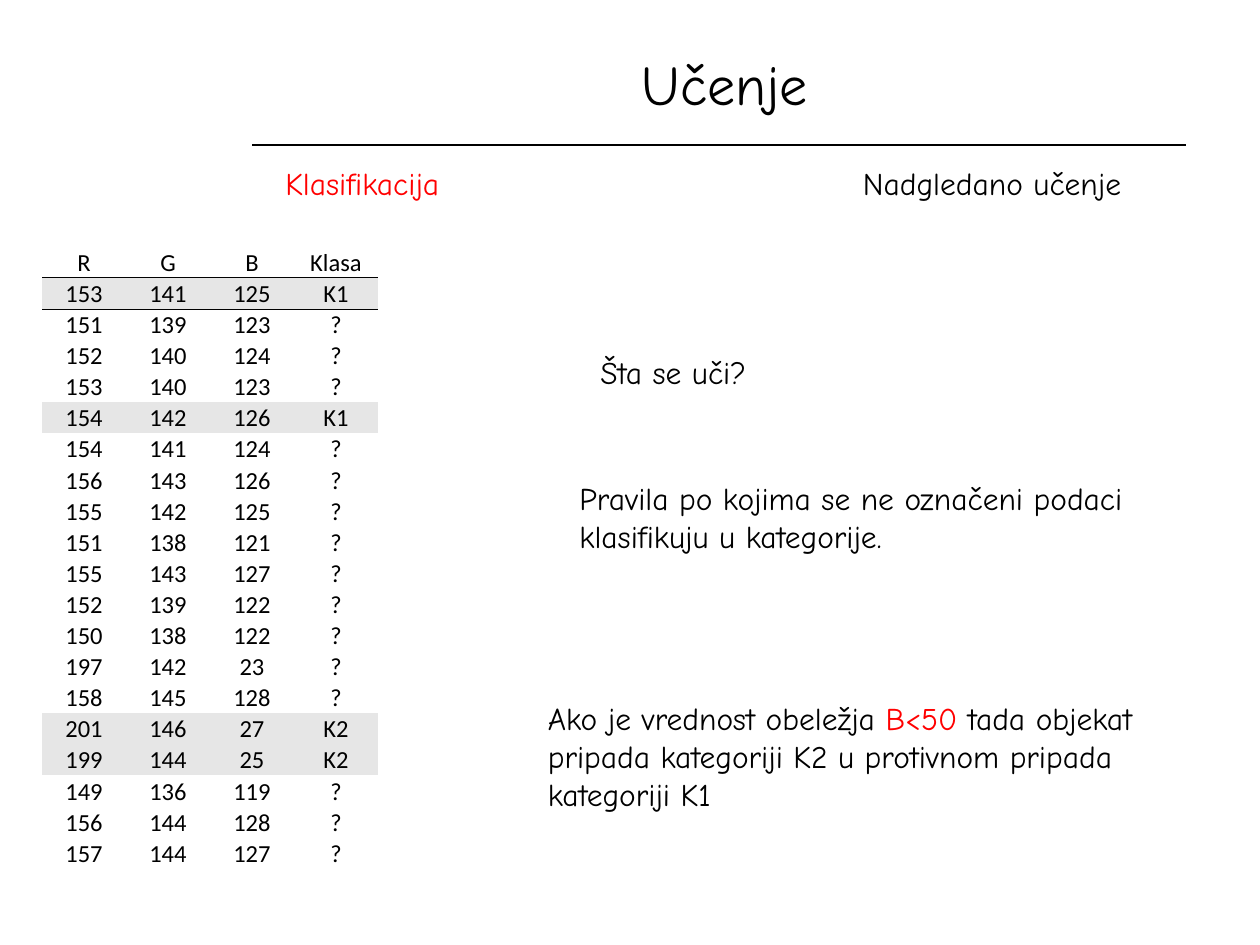
import pptx
import pptx.dml.color
import pptx.enum.dml
import pptx.enum.shapes
import pptx.enum.text
import pptx.oxml
import pptx.oxml.ns
import pptx.util
from lxml import etree

Pt = pptx.util.Pt
RGB = pptx.dml.color.RGBColor
ANCHOR = pptx.enum.text.MSO_ANCHOR
ALIGN = pptx.enum.text.PP_ALIGN
BLACK = RGB(0x00, 0x00, 0x00)
RED = RGB(0xFF, 0x00, 0x00)
LIGHT_GREY = RGB(0xE6, 0xE6, 0xE6)

TITLE_FONT = {"name": "Comic Neue", "size": Pt(32), "bold": False}
BODY_FONT = {"name": "Comic Neue", "size": Pt(18)}
SAMPLE_FONT = {"name": "Calibri", "size": Pt(14), "bold": False}
SAMPLE_CELL = {
    "vertical_anchor": ANCHOR.BOTTOM,
    "margin_left": Pt(0.72),
    "margin_right": Pt(0.72),
    "margin_top": Pt(0.72),
    "margin_bottom": Pt(0),
}
NO_STYLE = "{2D5ABB26-0587-4C30-8999-92F81FD0307C}"

SAMPLES = [
    ("R", "G", "B", "Klasa"),
    (153, 141, 125, "K1"),
    (151, 139, 123, "?"),
    (152, 140, 124, "?"),
    (153, 140, 123, "?"),
    (154, 142, 126, "K1"),
    (154, 141, 124, "?"),
    (156, 143, 126, "?"),
    (155, 142, 125, "?"),
    (151, 138, 121, "?"),
    (155, 143, 127, "?"),
    (152, 139, 122, "?"),
    (150, 138, 122, "?"),
    (197, 142, 23, "?"),
    (158, 145, 128, "?"),
    (201, 146, 27, "K2"),
    (199, 144, 25, "K2"),
    (149, 136, 119, "?"),
    (156, 144, 128, "?"),
    (157, 144, 127, "?"),
]

STATEMENTS = [
    ((486, 90, 198, 28.8), [("Nadgledano učenje", BLACK)]),
    ((336, 198, 198, 28.8), [("Šta se uči?", BLACK)]),
    ((324, 270, 360, 51), [
        ("Pravila po kojima se ne označeni podaci klasifikuju u kategorije.", BLACK),
    ]),
    ((306, 396, 360, 72.7), [
        ("Ako je vrednost obeležja ", BLACK),
        ("B<50 ", RED),
        ("tada objekat pripada kategoriji K2 u protivnom pripada kategoriji K1", BLACK),
    ]),
    ((156, 90, 198, 28.8), [("Klasifikacija", RED)]),
]


def apply_format(target, values):
    """Set every attribute named in values on target."""
    for name, value in values.items():
        setattr(target, name, value)


def add_run(paragraph, text, font, color):
    """Append a formatted run to a paragraph."""
    run = paragraph.add_run()
    run.text = text
    apply_format(run.font, font)
    run.font.color.rgb = color


def add_heading(slide, box):
    """Place the title in box, with the rule below it."""
    left, top, width, height = box
    title = slide.shapes.title
    apply_format(title, dict(zip(("left", "top", "width", "height"), map(Pt, box))))
    apply_format(title.text_frame, {"vertical_anchor": ANCHOR.MIDDLE, "word_wrap": True})
    paragraph = title.text_frame.paragraphs[0]
    paragraph.alignment = ALIGN.CENTER
    add_run(paragraph, "Učenje", TITLE_FONT, BLACK)

    rule_y = Pt(top + height + 8.6)
    rule = slide.shapes.add_connector(
        pptx.enum.shapes.MSO_CONNECTOR.STRAIGHT,
        Pt(left), rule_y, Pt(left + width - 6.5), rule_y,
    )
    rule.line.width = Pt(0.75)
    rule.line.color.rgb = BLACK
    etree.SubElement(rule._element.spPr, pptx.oxml.ns.qn("a:effectLst"))


def add_statement(slide, box, parts):
    """Place a wrapped text in box, made of (text, color) parts."""
    frame = slide.shapes.add_textbox(*map(Pt, box)).text_frame
    apply_format(frame, {
        "word_wrap": True,
        "auto_size": pptx.enum.text.MSO_AUTO_SIZE.SHAPE_TO_FIT_TEXT,
    })
    for text, color in parts:
        add_run(frame.paragraphs[0], text, BODY_FONT, color)


def add_border(cell, side):
    """Draw a thin black border on one side of a cell."""
    border = pptx.oxml.parse_xml(
        f'<a:{side} {pptx.oxml.ns.nsdecls("a")} w="{Pt(0.5)}">'
        f'<a:solidFill><a:srgbClr val="{BLACK}"/></a:solidFill></a:{side}>'
    )
    cell._tc.get_or_add_tcPr().insert(0, border)


def add_samples(slide, box):
    """Fill box with the sample table, shading the labelled rows."""
    table = slide.shapes.add_table(len(SAMPLES), len(SAMPLES[0]), *map(Pt, box)).table
    apply_format(table, {"first_row": False, "horz_banding": False})
    table._tbl.tblPr.find(pptx.oxml.ns.qn("a:tableStyleId")).text = NO_STYLE
    for column in table.columns:
        column.width = Pt(box[2] / len(SAMPLES[0]))
    for index, sample in enumerate(SAMPLES):
        table.rows[index].height = Pt(box[3] / len(SAMPLES))
        for column_index, value in enumerate(sample):
            cell = table.cell(index, column_index)
            apply_format(cell, SAMPLE_CELL)
            paragraph = cell.text_frame.paragraphs[0]
            paragraph.alignment = ALIGN.CENTER
            add_run(paragraph, str(value), SAMPLE_FONT, BLACK)
            if sample[-1] in ("K1", "K2"):
                cell.fill.solid()
                cell.fill.fore_color.rgb = LIGHT_GREY
            else:
                cell.fill.background()
            if index < 2:
                add_border(cell, ("lnB", "lnT")[index])


def main():
    """Build the slide and save it."""
    presentation = pptx.Presentation()
    apply_format(presentation, {"slide_width": Pt(720), "slide_height": Pt(540)})
    slide = presentation.slides.add_slide(presentation.slide_layouts[5])
    add_heading(slide, (144, 20.2, 540, 54))
    add_samples(slide, (24, 141, 192, 351.4))
    for box, parts in STATEMENTS:
        add_statement(slide, box, parts)
    presentation.save("out.pptx")


if __name__ == "__main__":
    main()
